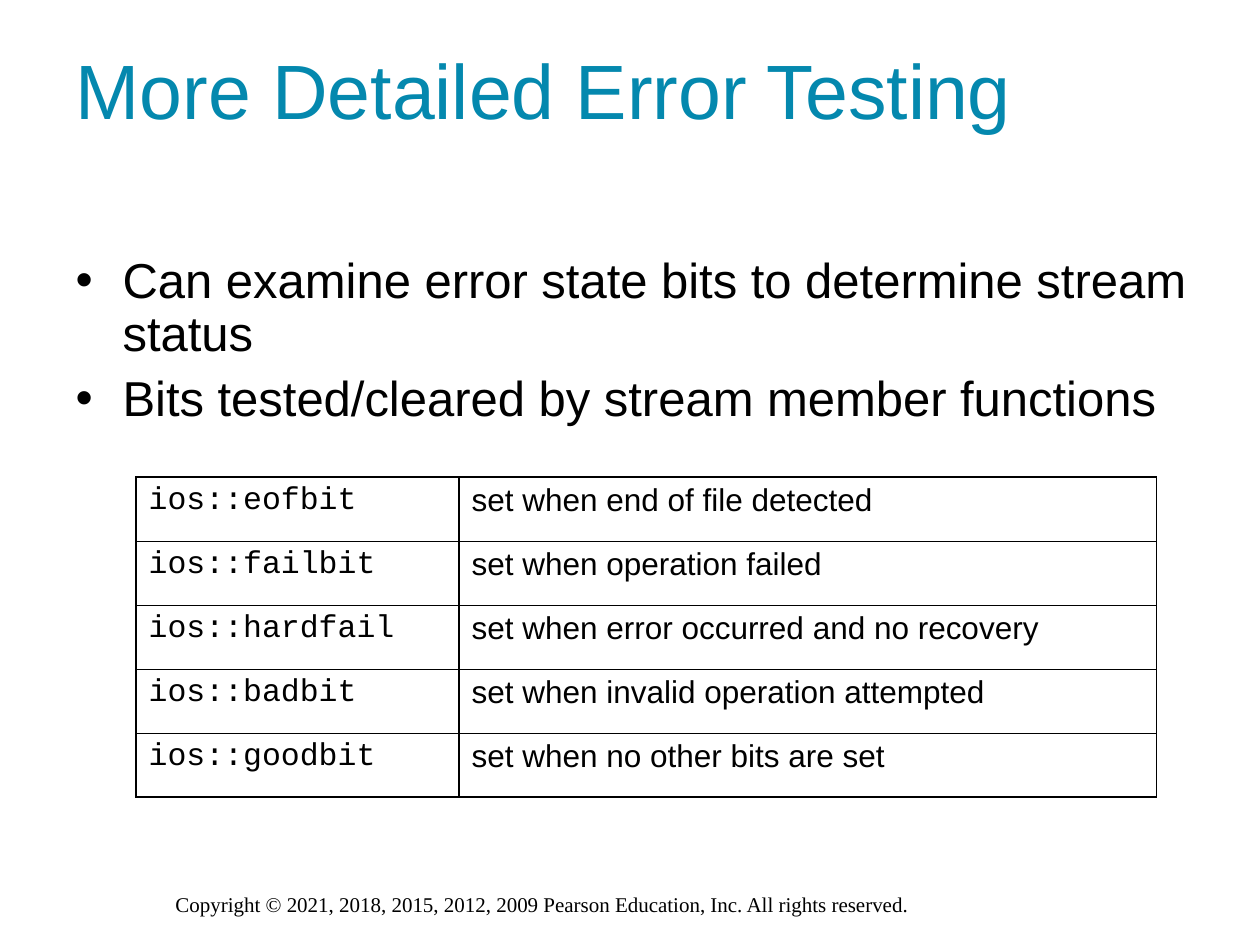
"""Builds a slide on testing stream error state bits."""
from lxml import etree
from pptx import Presentation
from pptx import util as u
from pptx.dml.color import RGBColor
from pptx.enum import text
from pptx.oxml.ns import qn

TITLE = "More Detailed Error Testing"
POINTS = [
    "Can examine error state bits to determine stream status",
    "Bits tested/cleared by stream member functions",
]
BITS = [
    ("ios::eofbit", "set when end of file detected"),
    ("ios::failbit", "set when operation failed"),
    ("ios::hardfail", "set when error occurred and no recovery"),
    ("ios::badbit", "set when invalid operation attempted"),
    ("ios::goodbit", "set when no other bits are set"),
]
COPYRIGHT = "Copyright © 2021, 2018, 2015, 2012, 2009 Pearson Education, Inc. All rights reserved."
COLORS = {"title": "0488AE", "ink": "000000"}
BIT_FONTS = ("Courier New", "Arial")
COLUMN_WIDTHS = (323, 697)
ROW_HEIGHT = 64
BULLET_INDENT = 47
THIN, THICK = 0.45, 1.08


def px(count):
    return u.Emu(round(count * 914400 / 126))


def place(part, left, top, width, height):
    part.left, part.top, part.width, part.height = map(px, (left, top, width, height))


def write(paragraph, words, size, font="Arial", color="ink"):
    paragraph.alignment = text.PP_ALIGN.LEFT
    run = paragraph.add_run()
    run.text = words
    run.font.size = u.Pt(size)
    run.font.name = font
    run.font.color.rgb = RGBColor.from_string(COLORS[color])


def add_bullet(paragraph):
    properties = paragraph._p.get_or_add_pPr()
    properties.set("marL", str(px(BULLET_INDENT)))
    properties.set("indent", str(-px(BULLET_INDENT)))
    etree.SubElement(properties, qn("a:buFont"), typeface="Arial")
    etree.SubElement(properties, qn("a:buChar"), char="•")


def add_borders(cell, widths):
    properties = cell._tc.get_or_add_tcPr()
    for position, (side, width) in enumerate(zip(("lnL", "lnR", "lnT", "lnB"), widths)):
        line = etree.Element(qn("a:" + side), w=str(u.Pt(width)))
        fill = etree.SubElement(line, qn("a:solidFill"))
        etree.SubElement(fill, qn("a:srgbClr"), val=COLORS["ink"])
        properties.insert(position, line)


def main():
    deck = Presentation()
    deck.slide_width, deck.slide_height = px(1260), px(945)
    slide = deck.slides.add_slide(deck.slide_layouts[1])

    title, body = slide.placeholders
    place(title, 63, 10, 1050, 158)
    title.text_frame.vertical_anchor = text.MSO_ANCHOR.MIDDLE
    write(title.text_frame.paragraphs[0], TITLE, 44, color="title")

    place(body, 63, 250, 1144, 192)
    points = body.text_frame
    for number, point in enumerate(POINTS):
        paragraph = points.add_paragraph() if number else points.paragraphs[0]
        add_bullet(paragraph)
        paragraph.line_spacing = 0.9
        paragraph.space_before = u.Pt(7 if number else 0)
        write(paragraph, point, 28)
    for frame in (title.text_frame, points):
        frame.auto_size = text.MSO_AUTO_SIZE.NONE

    bits = slide.shapes.add_table(
        len(BITS), len(COLUMN_WIDTHS), px(136), px(477),
        px(sum(COLUMN_WIDTHS)), px(ROW_HEIGHT * len(BITS)),
    ).table
    bits.first_row = bits.horz_banding = False
    for column, width in zip(bits.columns, COLUMN_WIDTHS):
        column.width = px(width)
    last = len(BITS) - 1
    for row, entry in enumerate(BITS):
        bits.rows[row].height = px(ROW_HEIGHT)
        for column, words in enumerate(entry):
            cell = bits.cell(row, column)
            cell.fill.background()
            write(cell.text_frame.paragraphs[0], words, 18, BIT_FONTS[column])
            add_borders(cell, (
                THICK,
                THIN if column else THICK,
                THIN if row else THICK,
                THICK if row == last else THIN,
            ))

    footer = slide.shapes.add_textbox(px(163), px(885), px(935), px(38)).text_frame
    footer.word_wrap = True
    write(footer.paragraphs[0], COPYRIGHT, 12, "Times New Roman")

    deck.save("out.pptx")


if __name__ == "__main__":
    main()
